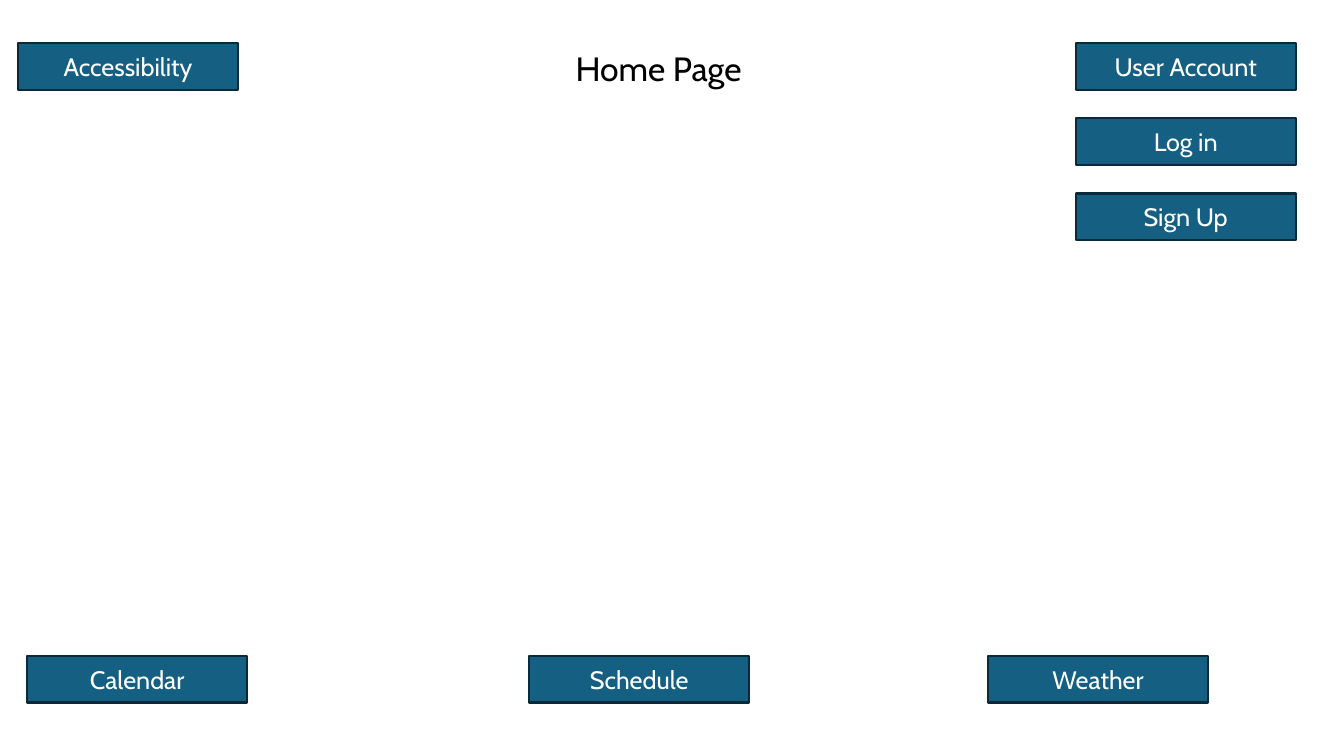
"""Build a home page wireframe with a title and navigation buttons."""
from pptx import Presentation
from pptx import util as u
from pptx.dml.color import RGBColor
from pptx.enum import shapes, text

BLUE = RGBColor(0x15, 0x60, 0x82)
NAVY = RGBColor(0x09, 0x2A, 0x39)
WHITE = RGBColor(0xFF, 0xFF, 0xFF)
BLACK = RGBColor(0x00, 0x00, 0x00)

BUTTON_WIDTH, BUTTON_HEIGHT = 2.18, 0.46
TOP_ROW, BOTTOM_ROW = 0.43, 6.51
ACCOUNT_LEFT, ACCOUNT_STEP = 10.67, 0.745


def write(box, words, size=18, color=WHITE, align=text.PP_ALIGN.CENTER,
          anchor=text.MSO_ANCHOR.MIDDLE):
    frame = box.text_frame
    frame.word_wrap = True
    frame.vertical_anchor = anchor
    para = frame.paragraphs[0]
    para.alignment = align
    span = para.add_run()
    span.text = words
    span.font.name = "Cabin"
    span.font.size = u.Pt(size)
    span.font.color.rgb = color


deck = Presentation()
deck.slide_width = u.Inches(13.33)
deck.slide_height = u.Inches(7.5)
page = deck.slides.add_slide(deck.slide_layouts[6])

title = page.shapes.add_textbox(
    u.Inches(5.61), u.Inches(TOP_ROW), u.Inches(2.67), u.Inches(0.5))
write(title, "Home Page", size=24, color=BLACK,
      align=text.PP_ALIGN.LEFT, anchor=text.MSO_ANCHOR.TOP)
title.text_frame.auto_size = text.MSO_AUTO_SIZE.SHAPE_TO_FIT_TEXT

buttons = [("Accessibility", 0.18, TOP_ROW)]
for row, label in enumerate(["User Account", "Log in", "Sign Up"]):
    buttons.append((label, ACCOUNT_LEFT, TOP_ROW + row * ACCOUNT_STEP))
for label, left in [("Calendar", 0.27), ("Schedule", 5.25), ("Weather", 9.8)]:
    buttons.append((label, left, BOTTOM_ROW))

for label, left, top in buttons:
    button = page.shapes.add_shape(
        shapes.MSO_SHAPE.RECTANGLE, u.Inches(left), u.Inches(top),
        u.Inches(BUTTON_WIDTH), u.Inches(BUTTON_HEIGHT))
    button.shadow.inherit = False
    button.fill.solid()
    button.fill.fore_color.rgb = BLUE
    button.line.color.rgb = NAVY
    button.line.width = u.Pt(1.5)
    write(button, label)

deck.save("out.pptx")
